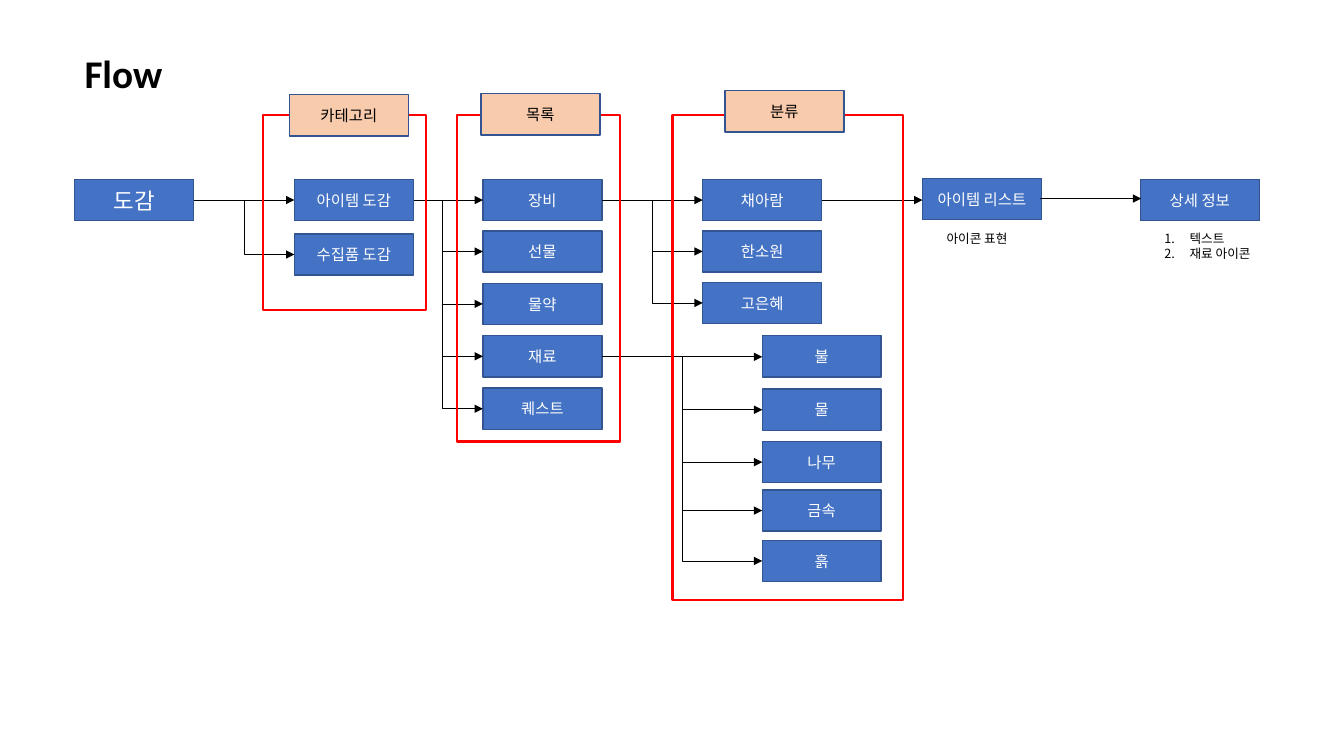
from lxml import etree
from pptx import Presentation
from pptx import util as u
from pptx.dml.color import RGBColor
from pptx.enum import shapes, text
from pptx.oxml import ns

BLUE = RGBColor(0x44, 0x72, 0xC4)
EDGE = RGBColor(0x32, 0x54, 0x91)
PEACH = RGBColor(0xF8, 0xCB, 0xAD)
RED = RGBColor(0xFF, 0, 0)
BLACK = RGBColor(0, 0, 0)
WHITE = RGBColor(0xFF, 0xFF, 0xFF)
SANS = "Noto Sans CJK KR"
BOX_W, BOX_H = 1.18, 0.41
TOP = 1.78  # first row of boxes
MID = TOP + BOX_H / 2

deck = Presentation()
deck.slide_width, deck.slide_height = u.Inches(13.33), u.Inches(7.5)
slide = deck.slides.add_slide(deck.slide_layouts[6])


def write(words, left, top, wide=BOX_W, high=BOX_H, size=11, font=SANS,
          color=WHITE, bold=False, fill=None, edge=None, width=1, nums=False):
    """Put text on the slide: in a rectangle if it has an edge, else free."""
    area = [u.Inches(n) for n in (left, top, wide, high)]
    if edge is None:
        item = slide.shapes.add_textbox(*area)
        item.text_frame.auto_size = text.MSO_AUTO_SIZE.SHAPE_TO_FIT_TEXT
    else:
        item = slide.shapes.add_shape(shapes.MSO_SHAPE.RECTANGLE, *area)
        item.shadow.inherit = False
        item.line.color.rgb, item.line.width = edge, u.Pt(width)
        item.text_frame.vertical_anchor = text.MSO_ANCHOR.MIDDLE
        if fill is None:
            item.fill.background()
        else:
            item.fill.solid()
            item.fill.fore_color.rgb = fill
    frame = item.text_frame
    frame.word_wrap = True
    if not words:
        return
    frame.text = words
    for para in frame.paragraphs:
        para.alignment = text.PP_ALIGN.CENTER if edge else text.PP_ALIGN.LEFT
        run = para.runs[0]
        run.font.size, run.font.bold, run.font.name = u.Pt(size), bold, font
        run.font.color.rgb = color
        etree.SubElement(run.font._element, ns.qn("a:ea"), typeface=font)
        if nums:
            props = para._p.get_or_add_pPr()
            props.set("marL", str(u.Inches(0.25)))
            props.set("indent", str(-u.Inches(0.25)))
            etree.SubElement(props, ns.qn("a:buAutoNum"), type="arabicPeriod")


def link(x, y, end, low, bend=None):
    """Draw an arrow; bend is the share of its width where it turns down."""
    kind = shapes.MSO_CONNECTOR.STRAIGHT if bend is None else shapes.MSO_CONNECTOR.ELBOW
    line = slide.shapes.add_connector(kind, *[u.Inches(n) for n in (x, y, end, low)])
    line.line.color.rgb, line.line.width = BLACK, u.Pt(0.5)
    etree.SubElement(line.line._get_or_add_ln(), ns.qn("a:tailEnd"), type="triangle")
    props = line._element.spPr
    etree.SubElement(props, ns.qn("a:effectLst"))
    if bend is not None:
        guides = props.find(ns.qn("a:prstGeom")).get_or_add_avLst()
        etree.SubElement(guides, ns.qn("a:gd"), name="adj1",
                         fmla=f"val {round(bend * 100000)}")


# Title
write("Flow", 0.74, 0.44, 2.73, 0.57, size=28, font="Calibri", color=BLACK, bold=True)

# Boxes, column by column
write("도감", 0.74, TOP, size=16, fill=BLUE, edge=EDGE)
columns = [
    (2.92, [("아이템 도감", TOP), ("수집품 도감", 2.32)]),
    (4.79, [("장비", TOP), ("선물", 2.29), ("물약", 2.81), ("재료", 3.33), ("퀘스트", 3.85)]),
    (6.97, [("채아람", TOP), ("한소원", 2.29), ("고은혜", 2.8)]),
    (7.56, [("불", 3.33), ("물", 3.86), ("나무", 4.38), ("금속", 4.86), ("흙", 5.36)]),
    (9.15, [("아이템 리스트", 1.77)]),
    (11.31, [("상세 정보", TOP)]),
]
for left, rows in columns:
    for name, top in rows:
        write(name, left, top, fill=BLUE, edge=EDGE)

# Straight arrows between columns
for x, end, y in [(1.92, 2.92, MID), (4.11, 4.79, MID), (5.97, 6.97, MID),
                  (5.97, 7.56, 3.54), (8.15, 9.15, MID), (10.32, 11.32, 1.97)]:
    link(x, y, end, y)

# Branches down to the other rows of the first four columns
starts = [(1.92, MID, 0.5), (4.39, MID, 0), (6.47, MID, 0), (6.77, 3.54, 0)]
for (x, y, bend), (left, rows) in zip(starts, columns):
    for name, top in rows[1:]:
        link(x, y, left, top + BOX_H / 2, bend)

# Notes under the last two boxes
write("아이콘 표현", 9.29, 2.24, 0.9, 0.25, size=9, color=BLACK)
write("텍스트\n재료 아이콘", 11.45, 2.24, 1.18, 0.4, size=9, color=BLACK, nums=True)

# Red frames with their labels
for name, left, wide, high, tab, top in [
        ("카테고리", 2.61, 1.62, 1.94, 2.87, 0.94),
        ("목록", 4.53, 1.62, 3.24, 4.77, 0.93),
        ("분류", 6.67, 2.29, 4.81, 7.19, 0.9)]:
    write("", left, 1.14, wide, high, edge=RED, width=1.5)
    write(name, tab, top, color=BLACK, fill=PEACH, edge=EDGE)

deck.save("out.pptx")
